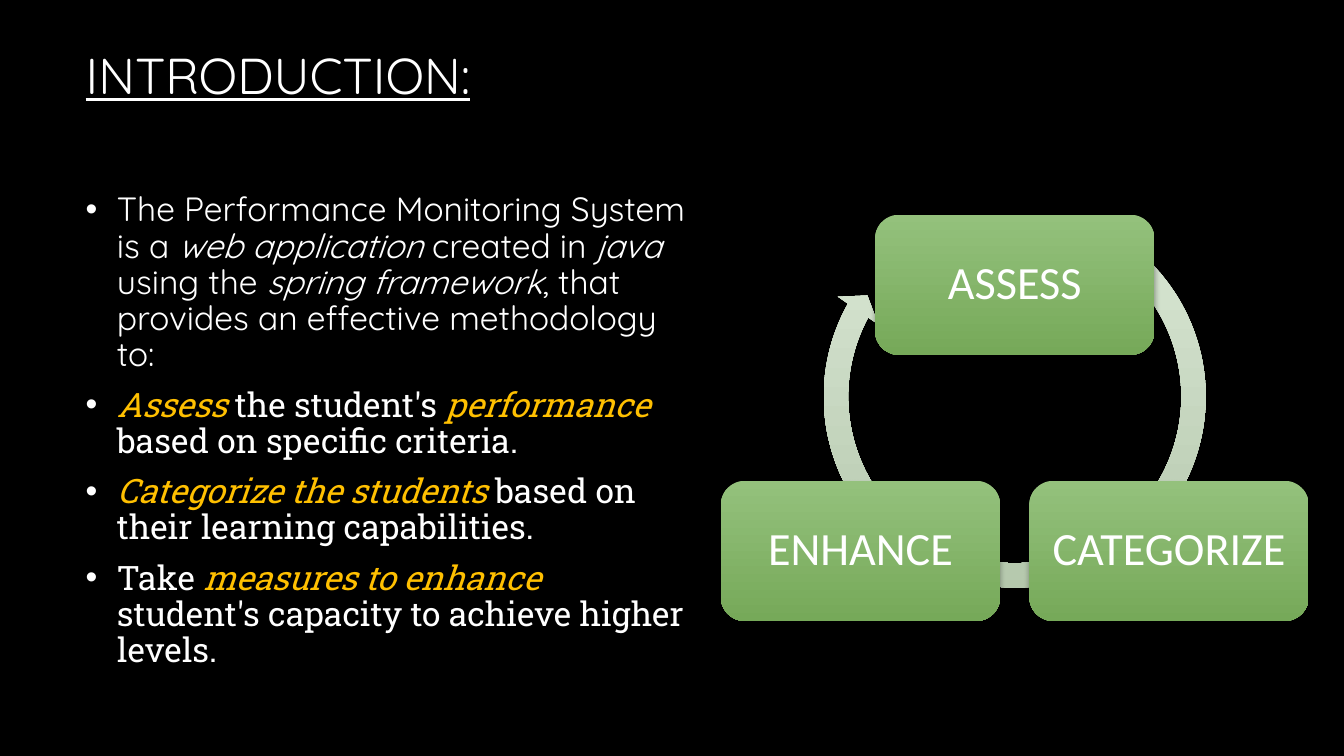
import pptx
import pptx.dml.color
import pptx.enum.shapes
import pptx.enum.text
import pptx.oxml
import pptx.oxml.ns
import pptx.util
from pptx.util import Inches

COLOURS = {
    "background": "000000",
    "text": "FFFFFF",
    "accent": "FFC000",
    "arrow top": "DCE9D7",
    "arrow bottom": "B4C7AC",
    "step top": "94C17C",
    "step bottom": "76A959",
}

# Each paragraph: font, then (text, italic) runs.
INTRODUCTION = [
    ("Quicksand", [
        ("The Performance Monitoring System is a ", False),
        ("web application", True),
        (" created in ", False),
        ("java ", True),
        ("using the ", False),
        ("spring framework", True),
        (", that provides an effective methodology to:", False),
    ]),
    ("Roboto Slab", [
        ("Assess", True),
        (" the student's ", False),
        ("performance", True),
        (" based on specific criteria.", False),
    ]),
    ("Roboto Slab", [
        ("Categorize the students", True),
        (" based on their learning capabilities.", False),
    ]),
    ("Roboto Slab", [
        ("Take ", False),
        ("measures to enhance", True),
        (" student's capacity to achieve higher levels.", False),
    ]),
]

STEP_WIDTH, STEP_HEIGHT = 2.77, 1.39
STEPS = [("ASSESS", 8.68, 2.13), ("CATEGORIZE", 10.21, 4.77), ("ENHANCE", 7.15, 4.77)]


def colour(name):
    return pptx.dml.color.RGBColor.from_string(COLOURS[name])


def place(shape, left, top, width, height):
    shape.left, shape.top = Inches(left), Inches(top)
    shape.width, shape.height = Inches(width), Inches(height)


def add_span(para, text, font, size, tint="text", italic=False):
    span = para.add_run()
    span.text = text
    span.font.name = font
    span.font.size = pptx.util.Pt(size)
    span.font.italic = italic
    span.font.color.rgb = colour(tint)
    return span


def fill_title(title):
    place(title, 0.75, 0.1, 4.35, 1.28)
    title.text_frame.vertical_anchor = pptx.enum.text.MSO_ANCHOR.MIDDLE
    para = title.text_frame.paragraphs[0]
    para.alignment = pptx.enum.text.PP_ALIGN.LEFT
    add_span(para, "INTRODUCTION:", "Quicksand", 36).font.underline = True


def add_bullet(para):
    """Give the paragraph a white bullet with a hanging indent."""
    properties = para._p.get_or_add_pPr()
    indent = Inches(0.31)
    properties.set("marL", str(indent))
    properties.set("indent", str(-indent))
    namespace = pptx.oxml.ns.nsdecls("a")
    for xml in (
        f'<a:buClr {namespace}><a:srgbClr val="{COLOURS["text"]}"/></a:buClr>',
        f'<a:buFont {namespace} typeface="Arial"/>',
        f'<a:buChar {namespace} char="•"/>',
    ):
        properties.append(pptx.oxml.parse_xml(xml))


def fill_body(body):
    place(body, 0.75, 1.3, 6.19, 5.96)
    frame = body.text_frame
    frame.vertical_anchor = pptx.enum.text.MSO_ANCHOR.MIDDLE
    for index, (font, spans) in enumerate(INTRODUCTION):
        para = frame.add_paragraph() if index else frame.paragraphs[0]
        add_bullet(para)
        para.line_spacing = 0.9
        para.space_before = pptx.util.Pt(0)
        para.space_after = pptx.util.Pt(10)
        for text, italic in spans:
            highlighted = italic and font == "Roboto Slab"
            add_span(para, text, font, 24, "accent" if highlighted else "text", italic)


def add_gradient_shape(page, kind, left, top, width, height, name):
    """Add a borderless shape shaded from the named top to bottom colour."""
    shape = page.shapes.add_shape(
        kind, Inches(left), Inches(top), Inches(width), Inches(height))
    shape.shadow.inherit = False
    shape.line.fill.background()
    shape.fill.gradient()
    shape.fill.gradient_angle = 270
    for stop, end in zip(shape.fill.gradient_stops, ("top", "bottom")):
        stop.color.rgb = colour(f"{name} {end}")
    return shape


def add_cycle_arrow(page):
    arrow = add_gradient_shape(
        page, pptx.enum.shapes.MSO_SHAPE.CIRCULAR_ARROW, 8.05, 1.92, 4.03, 4.03, "arrow")
    for index, value in enumerate((0.06, 3.41, 125.27, 181.95, 0.06)):
        arrow.adjustments[index] = value


def add_drop_shadow(shape):
    effects = shape._element.spPr.find(pptx.oxml.ns.qn("a:effectLst"))
    effects.append(pptx.oxml.parse_xml(
        f'<a:outerShdw {pptx.oxml.ns.nsdecls("a")} blurRad="{pptx.util.Pt(4)}" '
        f'dist="{pptx.util.Pt(3)}" dir="5400000" rotWithShape="0">'
        f'<a:srgbClr val="{COLOURS["background"]}"><a:alpha val="35000"/></a:srgbClr>'
        '</a:outerShdw>'))


def add_step(page, label, left, top):
    box = add_gradient_shape(
        page, pptx.enum.shapes.MSO_SHAPE.ROUNDED_RECTANGLE,
        left, top, STEP_WIDTH, STEP_HEIGHT, "step")
    box.adjustments[0] = 0.17
    add_drop_shadow(box)
    frame = box.text_frame
    frame.word_wrap = True
    frame.vertical_anchor = pptx.enum.text.MSO_ANCHOR.MIDDLE
    frame.margin_left = frame.margin_right = Inches(0.14)
    para = frame.paragraphs[0]
    para.alignment = pptx.enum.text.PP_ALIGN.CENTER
    para.line_spacing = 0.9
    add_span(para, label, "Calibri", 33)


def main():
    deck = pptx.Presentation()
    deck.slide_width, deck.slide_height = Inches(13.33), Inches(7.5)
    page = deck.slides.add_slide(deck.slide_layouts[1])
    page.background.fill.solid()
    page.background.fill.fore_color.rgb = colour("background")
    fill_title(page.shapes.title)
    fill_body(page.placeholders[1])
    add_cycle_arrow(page)
    for label, left, top in STEPS:
        add_step(page, label, left, top)
    deck.save("out.pptx")


if __name__ == "__main__":
    main()
